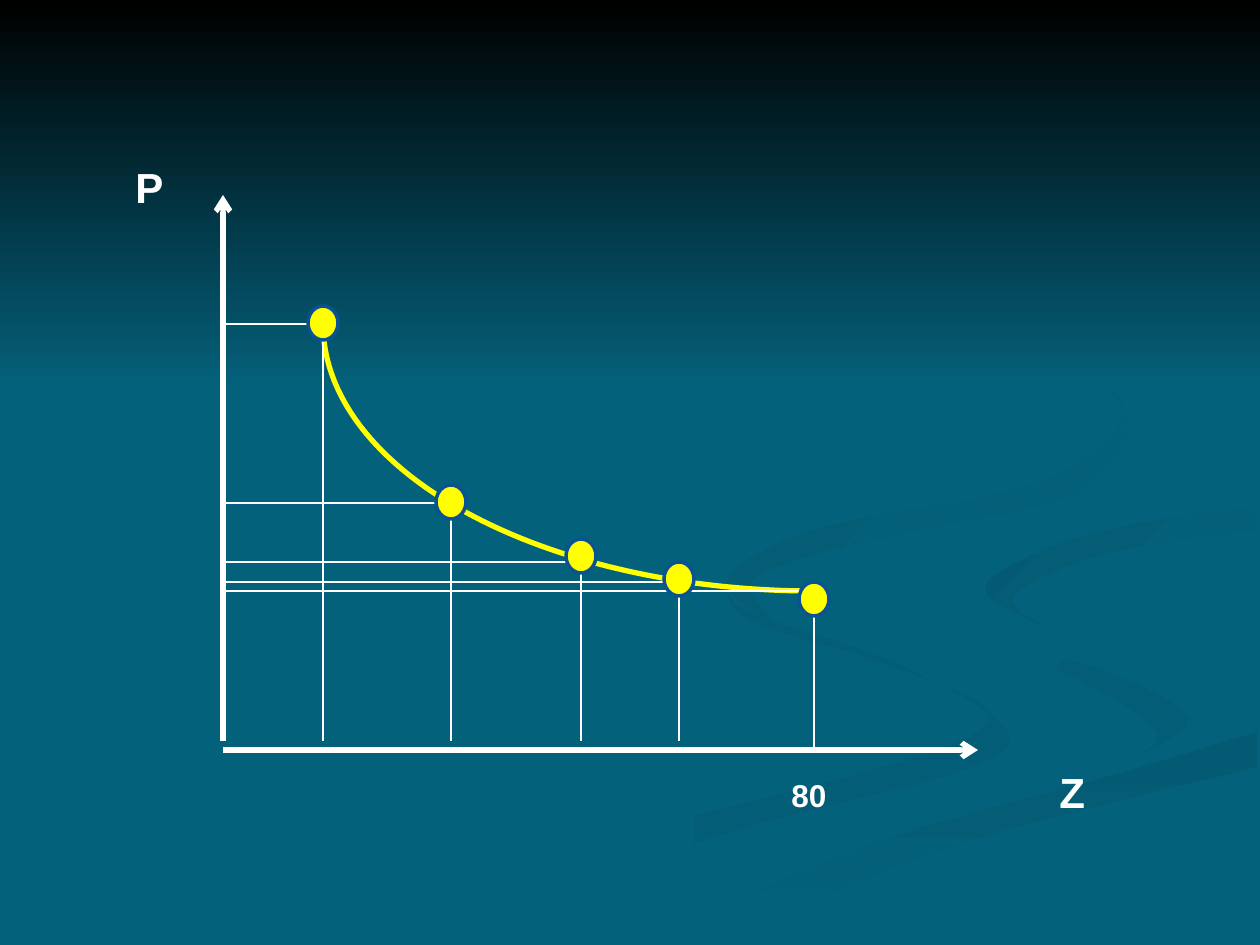
from lxml import etree
from pptx import Presentation
from pptx.dml.color import RGBColor
from pptx.enum.shapes import MSO_CONNECTOR as Connector, MSO_SHAPE as Shape
from pptx.enum.text import MSO_AUTO_SIZE as AutoSize
from pptx.oxml.ns import qn
from pptx.util import Pt

# Content: lengths in px, 126 px to the inch
EMU_PER_PX = 914400 / 126
WIDTH, HEIGHT = 1260, 945
FONT = "Arial"
COLORS = {
    "background": "04617B",
    "night": "000000",
    "shade": "045D76",
    "deep shade": "045A72",
    "white": "FFFFFF",
    "curve": "FFFF00",
    "marker edge": "0B5292",
}

AXIS_X, AXIS_Y, GUIDE_FOOT = 223, 750, 741
AXES = [((AXIS_X, GUIDE_FOOT), (AXIS_X, 195)), ((AXIS_X, AXIS_Y), (978, AXIS_Y))]
MARKER_WIDTH, MARKER_HEIGHT = 30, 34
# x, height of the guide, centre of the marker
POINTS = [(323, 324, 323), (451, 503, 502), (581, 562, 556), (679, 582, 579), (814, 591, 599)]
# text, left, top, width, height, size
LABELS = [
    ("P", 123, 155, 69, 63, 24),
    ("Z", 1047, 760, 59, 63, 24),
    ("80", 779, 770, 69, 50, 18),
]

# first colour, last colour, clockwise angle, the two edges of the ribbon
RIBBONS = [
    ("background", "shade", 0,
     [(725, 578), (747, 619), (878, 662), (990, 713), (900, 762), (577, 849), (378, 944)],
     [(455, 944), (711, 838), (953, 774), (1008, 732), (901, 665), (748, 611), (725, 578)]),
    ("background", "shade", 45,
     [(912, 585), (955, 627), (1096, 668), (1188, 718), (1126, 762)],
     [(1126, 762), (1157, 732), (1076, 679), (951, 636), (912, 585)]),
    ("deep shade", "background", 90,
     [(634, 944), (876, 843), (1092, 781), (1257, 732)],
     [(1257, 767), (948, 847), (719, 944)]),
    ("deep shade", "background", 45,
     [(1041, 625), (985, 585), (1090, 534), (1257, 507)],
     [(1257, 529), (1106, 553), (1014, 595), (1041, 625)]),
    ("deep shade", "background", 45,
     [(961, 294), (1089, 367), (1120, 422), (1031, 486), (818, 529), (727, 582), (784, 630)],
     [(784, 630), (751, 581), (861, 542), (1077, 493), (1126, 433), (1089, 367), (961, 294)]),
]
SMOOTH_STEPS = 6


def px(*lengths):
    return [round(length * EMU_PER_PX) for length in lengths]


def rgb(name):
    return RGBColor.from_string(COLORS[name])


def smooth(points):
    """Return points along a Catmull-Rom curve through the given ones."""
    padded = [points[0], *points, points[-1]]
    curve = [points[0]]
    for corners in zip(padded, padded[1:], padded[2:], padded[3:]):
        for step in range(1, SMOOTH_STEPS + 1):
            t = step / SMOOTH_STEPS
            curve.append(tuple(
                b + t * ((c - a) + t * ((2 * a - 5 * b + 4 * c - d)
                                        + t * (3 * b - a - 3 * c + d))) / 2
                for a, b, c, d in zip(*corners)))
    return curve


def add_gradient_outline(slide, first, last, angle, outline):
    builder = slide.shapes.build_freeform(*outline[0], scale=EMU_PER_PX)
    builder.add_line_segments(outline[1:], close=True)
    shape = builder.convert_to_shape()
    shape.shadow.inherit = False
    shape.line.fill.background()
    shape.fill.gradient()
    shape.fill.gradient_angle = (360 - angle) % 360
    for stop, color in zip(shape.fill.gradient_stops, (first, last)):
        stop.color.rgb = rgb(color)


def add_line(slide, start, end, weight=0.75, arrow=False):
    line = slide.shapes.add_connector(Connector.STRAIGHT, *px(*start, *end))
    line.line.color.rgb = rgb("white")
    line.line.width = Pt(weight)
    properties = line._element.spPr
    if arrow:
        etree.SubElement(properties.find(qn("a:ln")), qn("a:tailEnd"), type="arrow")
    etree.SubElement(properties, qn("a:effectLst"))


def add_shape(slide, kind, box, line_color, weight, fill=None):
    shape = slide.shapes.add_shape(kind, *px(*box))
    shape.shadow.inherit = False
    shape.line.color.rgb = rgb(line_color)
    shape.line.width = Pt(weight)
    if fill:
        shape.fill.solid()
        shape.fill.fore_color.rgb = rgb(fill)
    else:
        shape.fill.background()
    return shape


def add_text(slide, text, box, size=18, color="white", bold=True):
    frame = slide.shapes.add_textbox(*px(*box)).text_frame
    frame.word_wrap = True
    frame.auto_size = AutoSize.SHAPE_TO_FIT_TEXT
    run = frame.paragraphs[0].add_run()
    run.text = text
    run.font.name = FONT
    run.font.size = Pt(size)
    run.font.bold = bold
    run.font.color.rgb = rgb(color)


def main():
    presentation = Presentation()
    presentation.slide_width, presentation.slide_height = px(WIDTH, HEIGHT)
    slide = presentation.slides.add_slide(presentation.slide_layouts[6])

    # Background: ribbons below a dark sky
    slide.background.fill.solid()
    slide.background.fill.fore_color.rgb = rgb("background")
    for first, last, angle, *edges in RIBBONS:
        outline = [point for edge in edges for point in smooth(edge)]
        add_gradient_outline(slide, first, last, angle, outline)
    sky = [(0, 0), (0, 388), (WIDTH, 388), (WIDTH, 0)]
    add_gradient_outline(slide, "night", "background", 90, sky)

    # Curve: a quarter ellipse from the first guide to the last
    left, top, _ = POINTS[0]
    right, bottom, _ = POINTS[-1]
    radius_x, radius_y = right - left, bottom - top
    box = (left, top - radius_y, 2 * radius_x, 2 * radius_y)
    add_shape(slide, Shape.ARC, box, "curve", 3).rotation = 180

    # Axes and guides: the last guide reaches the axis
    for start, end in AXES:
        add_line(slide, start, end, weight=3, arrow=True)
    for x, y, _ in POINTS:
        add_line(slide, (AXIS_X, y), (x, y))
        add_line(slide, (x, y), (x, AXIS_Y if x == right else GUIDE_FOOT))

    # Markers
    for x, _, center in POINTS:
        box = (x - MARKER_WIDTH / 2, center - MARKER_HEIGHT / 2, MARKER_WIDTH, MARKER_HEIGHT)
        add_shape(slide, Shape.FLOWCHART_CONNECTOR, box, "marker edge", 2, fill="curve")

    # Labels
    for text, *box, size in LABELS:
        add_text(slide, text, box, size=size)

    presentation.save("out.pptx")


if __name__ == "__main__":
    main()
